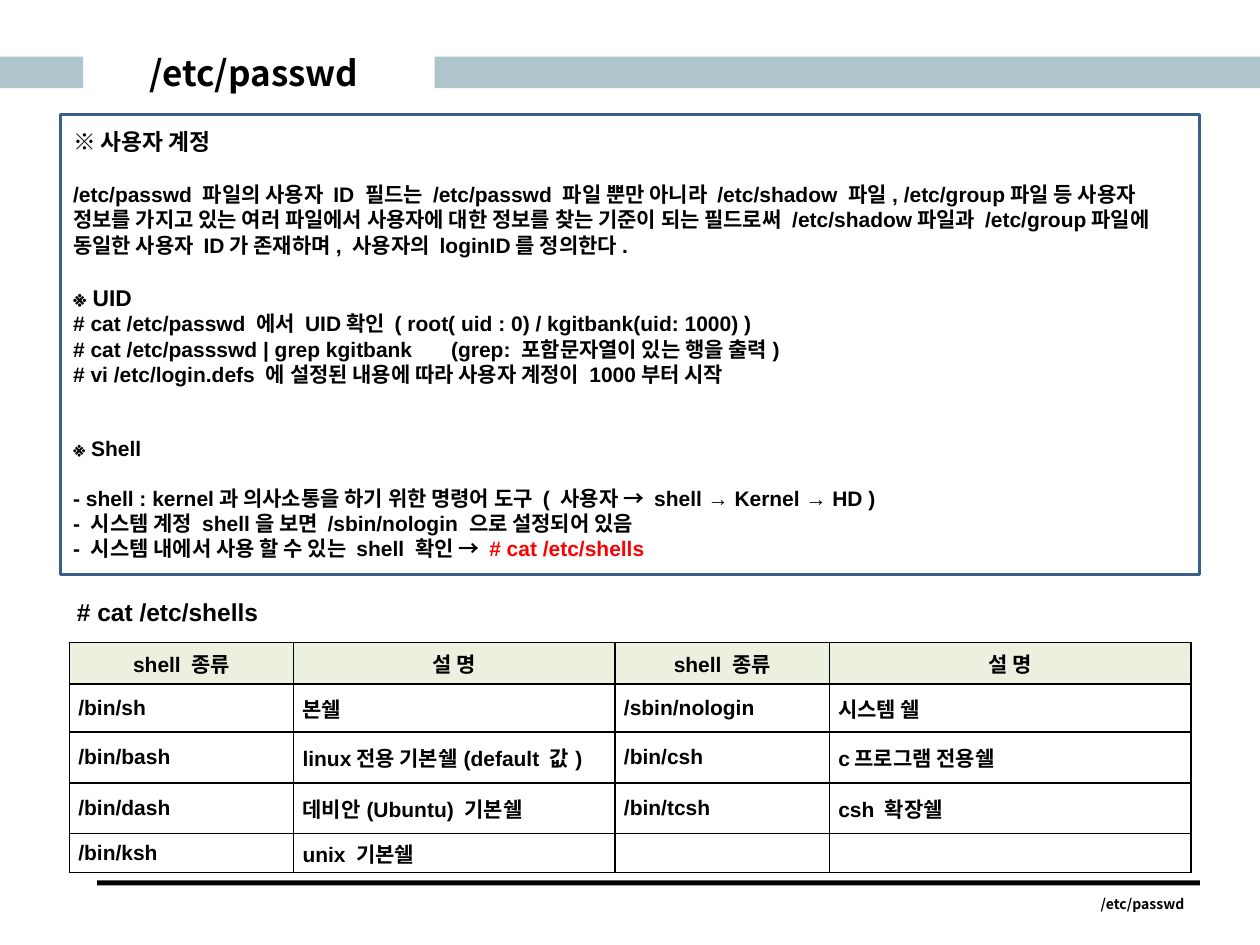
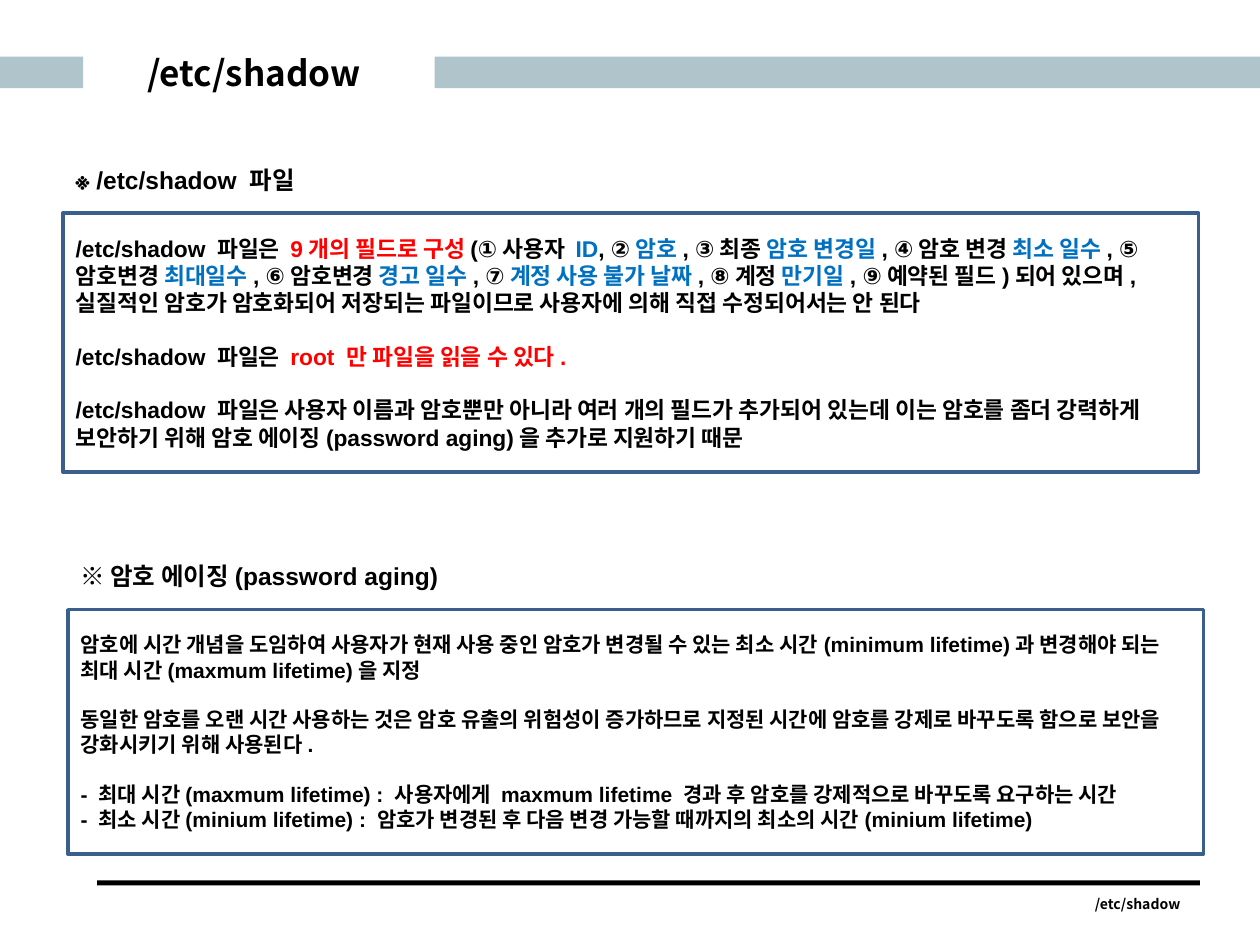
from dataclasses import dataclass

from lxml import etree
from pptx import Presentation
from pptx.dml.color import RGBColor
from pptx.enum import shapes as sh, text as tx
from pptx.oxml import ns
from pptx.util import Cm, Pt

INK, RED, BLUE = "000000", "FF0000", "0070C0"
BAND, EDGE, HEAD = "AFC5CB", "3A5F8C", "EBF1DE"
SANS, KOR = "Arial", "Noto Sans CJK KR"
LEFT, MID = tx.PP_ALIGN.LEFT, tx.PP_ALIGN.CENTER


@dataclass
class Box:
    x: float
    y: float
    w: float
    h: float


@dataclass
class Para:
    runs: str | list[tuple[str, str]]
    size: float = 12
    gap: float = 0


@dataclass
class Label:
    box: Box
    words: str


@dataclass
class Panel:
    box: Box
    paras: list[Para]


@dataclass
class Page:
    layout: int
    title: str
    foot: float
    labels: list[Label]
    panels: list[Panel]


BARS = [
    (Box(0, 1.14, 1.68, 0.64), BAND),
    (Box(8.76, 1.14, 16.64, 0.64), BAND),
    (Box(1.96, 17.75, 22.23, 0.1), INK),
]
RIGHT = 24.18

PASSWD = Page(
    1, "/etc/passwd", 2.29,
    [Label(Box(1.3, 11.91, 4.34, 0.86), "# cat /etc/shells")],
    [Panel(Box(1.22, 2.31, 22.96, 9.27), [
        Para("※ 사용자 계정", 13),
        Para("/etc/passwd 파일의 사용자 ID 필드는 /etc/passwd 파일 뿐만 아니라 /etc/shadow 파일, "
             "/etc/group파일 등 사용자 정보를 가지고 있는 여러 파일에서 사용자에 대한 정보를 찾는 기준이 되는 "
             "필드로써 /etc/shadow파일과 /etc/group파일에 동일한 사용자 ID가 존재하며, "
             "사용자의 loginID를 정의한다.", gap=15),
        Para("※ UID", 13, 15),
        Para("# cat /etc/passwd 에서 UID확인 ( root( uid : 0) / kgitbank(uid: 1000) )"),
        Para("# cat /etc/passswd | grep kgitbank\t(grep: 포함문자열이 있는 행을 출력)"),
        Para("# vi /etc/login.defs 에 설정된 내용에 따라 사용자 계정이 1000부터 시작"),
        Para("※ Shell", gap=28),
        Para("- shell : kernel과 의사소통을 하기 위한 명령어 도구 ( 사용자 → shell → Kernel → HD )", gap=14),
        Para("- 시스템 계정 shell을 보면 /sbin/nologin 으로 설정되어 있음"),
        Para([("- 시스템 내에서 사용 할 수 있는 shell 확인 → ", INK), ("# cat /etc/shells", RED)]),
    ])],
)

SHADOW = Page(
    3, "/etc/shadow", 2.49,
    [Label(Box(1.27, 3.2, 5.23, 0.86), "※ /etc/shadow 파일"),
     Label(Box(1.37, 11.18, 7.87, 0.86), "※ 암호 에이징(password aging)")],
    [Panel(Box(1.27, 4.29, 22.89, 5.23), [
        Para([("/etc/shadow 파일은 ", INK), ("9개의 필드로 구성", RED),
              ("(①사용자 ", INK), ("ID", BLUE), (", ②", INK), ("암호", BLUE),
              (", ③최종 ", INK), ("암호 변경일", BLUE), (", ④암호 변경 ", INK), ("최소 일수", BLUE),
              (", ⑤암호변경 ", INK), ("최대일수", BLUE), (", ⑥암호변경 ", INK), ("경고 일수", BLUE),
              (", ⑦", INK), ("계정 사용 불가 날짜", BLUE), (", ⑧계정 ", INK), ("만기일", BLUE),
              (", ⑨예약된 필드)되어 있으며, 실질적인 암호가 암호화되어 저장되는 파일이므로 "
               "사용자에 의해 직접 수정되어서는 안 된다", INK)], 13),
        Para([("/etc/shadow 파일은 ", INK), ("root 만 파일을 읽을 수 있다.", RED)], 13, 15),
        Para("/etc/shadow 파일은 사용자 이름과 암호뿐만 아니라 여러 개의 필드가 추가되어 있는데 "
             "이는 암호를 좀더 강력하게 보안하기 위해 암호 에이징(password aging)을 "
             "추가로 지원하기 때문", 13, 15),
    ]), Panel(Box(1.37, 12.29, 22.89, 4.93), [
        Para("암호에 시간 개념을 도임하여 사용자가 현재 사용 중인 암호가 변경될 수 있는 "
             "최소 시간(minimum lifetime)과 변경해야 되는 최대 시간(maxmum lifetime)을 지정"),
        Para("동일한 암호를 오랜 시간 사용하는 것은 암호 유출의 위험성이 증가하므로 지정된 시간에 "
             "암호를 강제로 바꾸도록 함으로 보안을 강화시키기 위해 사용된다.", gap=14),
        Para("- 최대 시간(maxmum lifetime) : 사용자에게 maxmum lifetime 경과 후 "
             "암호를 강제적으로 바꾸도록 요구하는 시간", gap=14),
        Para("- 최소 시간(minium lifetime) : 암호가 변경된 후 다음 변경 가능할 때까지의 "
             "최소의 시간(minium lifetime)"),
    ])],
)

COLS = [4.52, 6.48, 4.32, 7.29]
ROWS = [0.84, 0.97, 1.02, 1.02, 0.79]
SHELLS = [
    ["shell 종류", "설 명"] * 2,
    ["/bin/sh", "본쉘", "/sbin/nologin", "시스템 쉘"],
    ["/bin/bash", "linux전용 기본쉘(default 값)", "/bin/csh", "c프로그램 전용쉘"],
    ["/bin/dash", "데비안(Ubuntu) 기본쉘", "/bin/tcsh", "csh 확장쉘"],
    ["/bin/ksh", "unix 기본쉘", "", ""],
]


def rgb(code: str) -> RGBColor:
    return RGBColor.from_string(code)


def span(box: Box) -> tuple:
    return Cm(box.x), Cm(box.y), Cm(box.w), Cm(box.h)


def place(item, box: Box) -> None:
    item.left, item.top, item.width, item.height = span(box)


def style(para, size: float, face: str = SANS, color: str | None = INK) -> None:
    font = para.font
    font.size, font.name, font.bold = Pt(size), face, True
    if color:
        font.color.rgb = rgb(color)


def bar(slide, box: Box, color: str) -> None:
    rect = slide.shapes.add_shape(sh.MSO_SHAPE.RECTANGLE, *span(box))
    rect.shadow.inherit = False
    rect.fill.solid()
    rect.fill.fore_color.rgb = rgb(color)
    rect.line.fill.background()


def label(slide, box: Box, words: str, size: float = 14, face: str = SANS,
          align=LEFT, wrap: bool = False) -> None:
    frame = slide.shapes.add_textbox(*span(box)).text_frame
    frame.word_wrap = wrap
    para = frame.paragraphs[0]
    para.text, para.alignment = words, align
    style(para, size, face)


def head(slide, words: str) -> None:
    title = slide.shapes.title
    place(title, Box(1.82, 0.91, 6.6, 1.09))
    frame = title.text_frame
    frame.auto_size = tx.MSO_AUTO_SIZE.NONE
    frame.vertical_anchor = tx.MSO_ANCHOR.MIDDLE
    frame.margin_top = frame.margin_bottom = Cm(0.1)
    para = frame.paragraphs[0]
    para.text, para.alignment = words, MID
    style(para, 20, KOR)


def panel(body, spec_: Panel) -> None:
    place(body, spec_.box)
    body.line.color.rgb = rgb(EDGE)
    body.line.width = Pt(2)
    frame = body.text_frame
    frame.auto_size = tx.MSO_AUTO_SIZE.NONE
    frame.vertical_anchor = tx.MSO_ANCHOR.MIDDLE
    for i, item in enumerate(spec_.paras):
        para = frame.add_paragraph() if i else frame.paragraphs[0]
        para.space_before = Pt(item.gap)
        props = para._p.get_or_add_pPr()
        props.set("marL", "0")
        props.set("indent", "0")
        etree.SubElement(props, ns.qn("a:buNone"))
        plain = isinstance(item.runs, str)
        style(para, item.size, color=INK if plain else None)
        if plain:
            para.text = item.runs
            continue
        for words, color in item.runs:
            run = para.add_run()
            run.text = words
            run.font.color.rgb = rgb(color)


def border(cell) -> None:
    props = cell._tc.get_or_add_tcPr()
    for i, side in enumerate(("lnL", "lnR", "lnT", "lnB")):
        line = etree.Element(ns.qn(f"a:{side}"), w=str(Pt(1)))
        fill = etree.SubElement(line, ns.qn("a:solidFill"))
        etree.SubElement(fill, ns.qn("a:srgbClr"), val=INK)
        props.insert(i, line)


def grid(slide) -> None:
    box = Box(1.4, 12.95, sum(COLS), sum(ROWS))
    table = slide.shapes.add_table(len(ROWS), len(COLS), *span(box)).table
    for col, wide in zip(table.columns, COLS):
        col.width = Cm(wide)
    for r, (row, high) in enumerate(zip(table.rows, ROWS)):
        row.height = Cm(high)
        for cell, words in zip(row.cells, SHELLS[r]):
            cell.margin_left = cell.margin_right = Cm(0.18)
            cell.margin_top = cell.margin_bottom = 0
            cell.vertical_anchor = tx.MSO_ANCHOR.MIDDLE
            if r:
                cell.fill.background()
            else:
                cell.fill.solid()
                cell.fill.fore_color.rgb = rgb(HEAD)
            border(cell)
            para = cell.text_frame.paragraphs[0]
            para.text, para.alignment = words, LEFT if r else MID
            style(para, 12)


def build(deck, page: Page):
    slide = deck.slides.add_slide(deck.slide_layouts[page.layout])
    for box, color in BARS:
        bar(slide, box, color)
    head(slide, page.title)
    foot = Box(RIGHT - page.foot, 17.93, page.foot, 0.61)
    label(slide, foot, page.title, 8, KOR, MID, True)
    for item in page.labels:
        label(slide, item.box, item.words)
    for i, item in enumerate(page.panels, 1):
        panel(slide.placeholders[i], item)
    return slide


def main() -> None:
    deck = Presentation()
    deck.slide_width, deck.slide_height = Cm(25.4), Cm(19.05)
    grid(build(deck, PASSWD))
    build(deck, SHADOW)
    deck.save("out.pptx")


if __name__ == "__main__":
    main()
